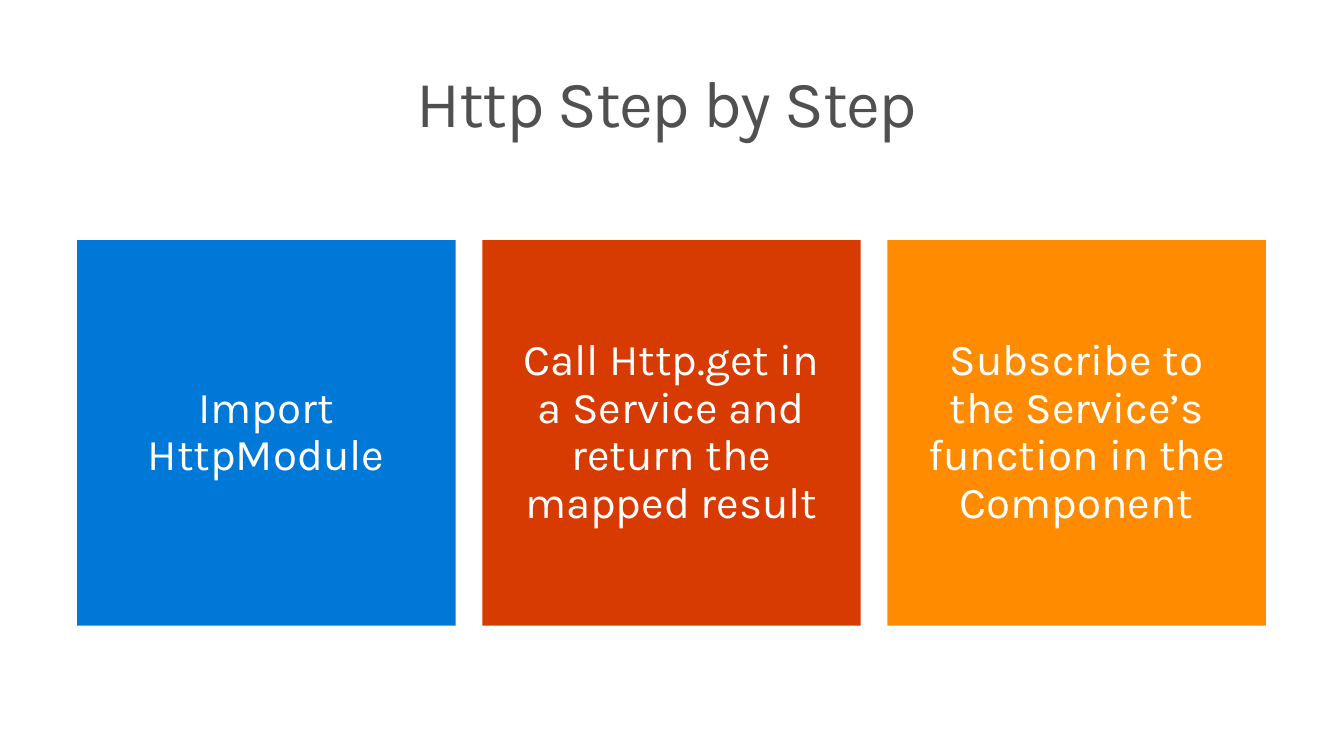
from dataclasses import dataclass

from lxml import etree
from pptx import Presentation
from pptx.dml.color import RGBColor
from pptx.enum.text import MSO_ANCHOR, MSO_AUTO_SIZE, PP_ALIGN
from pptx.oxml.ns import qn
from pptx.util import Inches, Pt

TOP, MIDDLE = MSO_ANCHOR.TOP, MSO_ANCHOR.MIDDLE
CENTER = PP_ALIGN.CENTER
NO_FIT = MSO_AUTO_SIZE.NONE
COMPARISON = 4  # layout with a title and several bodies


@dataclass(frozen=True)
class Theme:
    font: str = "Karla"
    title_size: int = 48
    step_size: int = 32
    title: str = "505050"
    text: str = "FFFFFF"
    blue: str = "0078D7"
    red: str = "D83B01"
    orange: str = "FF8C00"


THEME = Theme()
STEPS = [
    ("Import HttpModule", THEME.blue),
    ("Call Http.get in a Service and return the mapped result", THEME.red),
    ("Subscribe to the Service’s function in the Component", THEME.orange),
]


def place(shape, box):
    shape.left, shape.top, shape.width, shape.height = map(Inches, box)


def write(shape, text, size, color, anchor, insets):
    frame = shape.text_frame
    frame.text = text
    frame.word_wrap = True
    frame.auto_size = NO_FIT
    frame.vertical_anchor = anchor
    (frame.margin_left, frame.margin_top,
     frame.margin_right, frame.margin_bottom) = map(Inches, insets)
    para = frame.paragraphs[0]
    para.alignment = CENTER
    para.line_spacing = 0.9
    para.space_before = Pt(0)
    run = para.runs[0]
    run.font.name = THEME.font
    run.font.size = Pt(size)
    run.font.bold = False
    run.font.color.rgb = RGBColor.from_string(color)
    return para


def add_title(shape, text, box):
    place(shape, box)
    para = write(shape, text, THEME.title_size, THEME.title, TOP,
                 (0, 0.05, 0.1, 0.05))
    # Tighten the letters by one point
    para.runs[0].font._element.set("spc", "-100")


def add_steps(bodies, steps, box, gap):
    left, top, width, height = box
    tile = (width - gap * (len(steps) - 1)) / len(steps)
    for i, (body, (text, color)) in enumerate(zip(bodies, steps)):
        place(body, (left + i * (tile + gap), top, tile, height))
        body.fill.solid()
        body.fill.fore_color.rgb = RGBColor.from_string(color)
        para = write(body, text, THEME.step_size, THEME.text, MIDDLE, [0.3] * 4)
        # No bullet and no indent
        props = para._p.get_or_add_pPr()
        props.set("marL", "0")
        props.set("indent", "0")
        etree.SubElement(props, qn("a:buNone"))


def main():
    deck = Presentation()
    deck.slide_width, deck.slide_height = Inches(13.6), Inches(7.65)
    slide = deck.slides.add_slide(deck.slide_layouts[COMPARISON])
    title, *bodies = slide.placeholders

    # Title
    add_title(title, "Http Step by Step", (0.79, 0.66, 12.02, 0.49))

    # Three coloured steps
    add_steps(bodies, STEPS, (0.78, 2.43, 12.03, 3.9), 0.27)

    # Unused bodies
    for body in bodies[len(STEPS):]:
        body._element.getparent().remove(body._element)

    deck.save("out.pptx")


if __name__ == "__main__":
    main()
